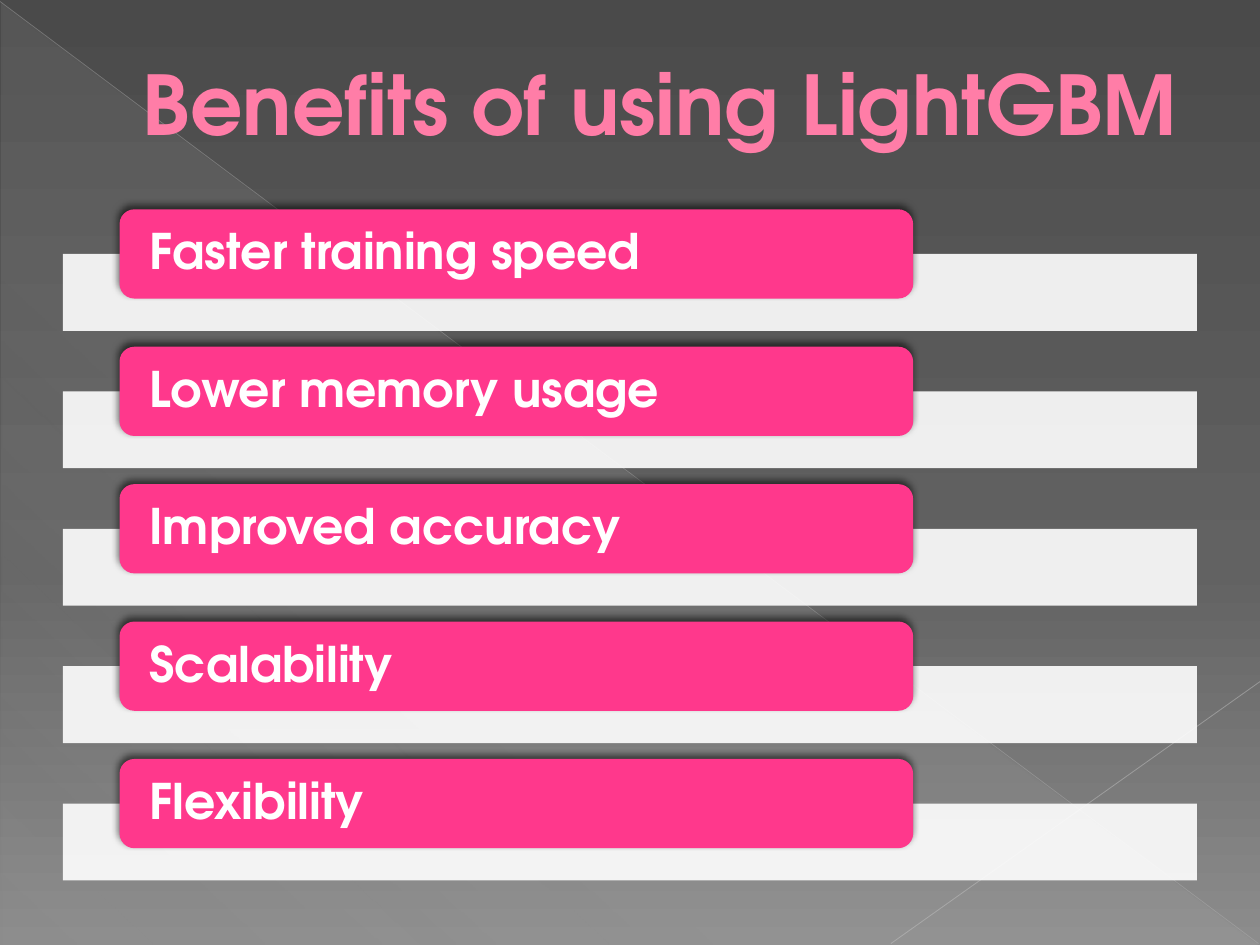
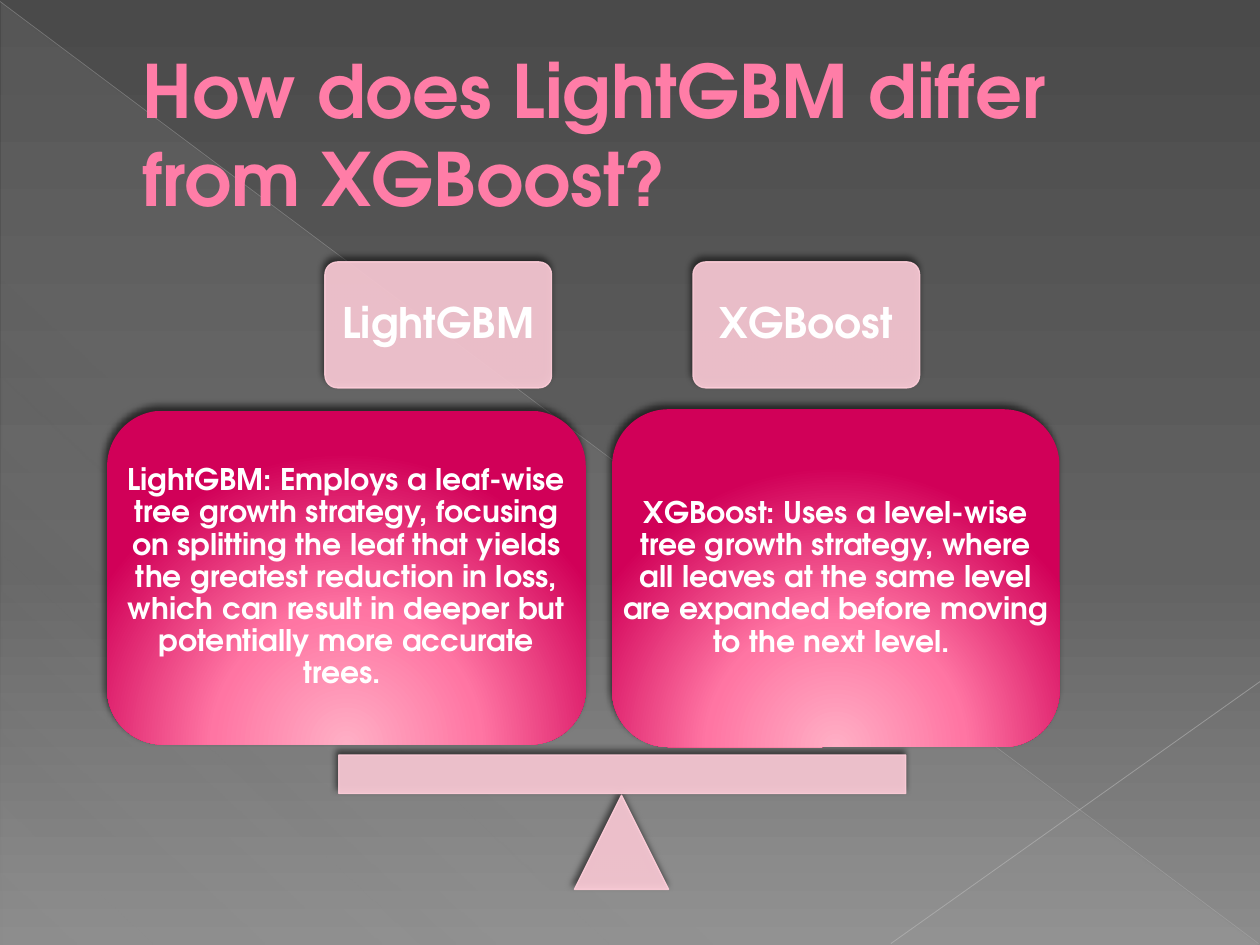
from lxml import etree
from pptx import Presentation
from pptx import util as u
from pptx.dml.color import RGBColor
from pptx.enum import shapes, text
from pptx.oxml import ns

FONT = "TeX Gyre Adventor"
WHITE = RGBColor(0xFF, 0xFF, 0xFF)
BLACK = RGBColor(0x00, 0x00, 0x00)
ROSE = RGBColor(0xFF, 0x7D, 0xA7)
WINE = RGBColor(0xB1, 0x27, 0x61)
PINK = RGBColor(0xFF, 0x38, 0x8C)
BLUSH = RGBColor(0xFF, 0xCE, 0xDA)
PETAL = RGBColor(0xFF, 0xAF, 0xC5)
CORAL = RGBColor(0xFF, 0x75, 0xA3)
RUBY = RGBColor(0xD1, 0x00, 0x58)
COAL = RGBColor(0x4A, 0x4A, 0x4A)
SLATE = RGBColor(0x62, 0x62, 0x62)
ASH = RGBColor(0x8C, 0x8C, 0x8C)
MIST = RGBColor(0xD2, 0xD2, 0xD2)
SILVER = RGBColor(0xBF, 0xBF, 0xBF)
PEARL = RGBColor(0xC6, 0xC6, 0xC6)

KIND = shapes.MSO_SHAPE
LEFT, MID = text.PP_ALIGN.LEFT, text.PP_ALIGN.CENTER

SKY = [(0, COAL, 100), (60, SLATE, 100), (100, ASH, 100)]
VEIL = [(0, MIST, 10), (70, MIST, 8), (100, MIST, 1)]
GLOW = [(0, PETAL, 100), (46, CORAL, 100), (100, RUBY, 100)]

GAINS = ["Faster training speed", "Lower memory usage", "Improved accuracy",
         "Scalability", "Flexibility"]
HEADS = [(6.55, "LightGBM"), (13.97, "XGBoost")]
CARDS = [
    ((12.34, 8.25, 9.02, 6.81),
     "XGBoost: Uses a level-wise tree growth strategy, where all leaves at "
     "the same level are expanded before moving to the next level. "),
    ((2.16, 8.28, 9.65, 6.73),
     "LightGBM: Employs a leaf-wise tree growth strategy, focusing on "
     "splitting the leaf that yields the greatest reduction in loss, which "
     "can result in deeper but potentially more accurate trees. "),
]


def put(item, form):
    """Set each attribute of the item from the dict."""
    for name, value in form.items():
        setattr(item, name, value)


def node(root, tag, **attrs):
    """Add a drawing element with the given attributes."""
    return etree.SubElement(root, ns.qn(f"a:{tag}"),
                            {key: str(val) for key, val in attrs.items()})


def tint(root, color, alpha):
    """Add a colour with an opacity in percent."""
    node(node(root, "srgbClr", val=color), "alpha", val=alpha * 1000)


def blend(root, stops, angle=None):
    """Swap the solid fill for a linear gradient, or a round one from below."""
    old = root.find(ns.qn("a:solidFill"))
    grad = etree.Element(ns.qn("a:gradFill"), rotWithShape="1")
    row = node(grad, "gsLst")
    for pos, color, alpha in stops:
        tint(node(row, "gs", pos=pos * 1000), color, alpha)
    if angle is None:
        node(node(grad, "path", path="circle"), "fillToRect",
             l=50000, t=155000, r=50000, b=-55000)
    else:
        node(grad, "lin", ang=angle * 60000, scaled=0)
    root.replace(old, grad)


def fade(item, alpha):
    """Give every colour of the item an opacity in percent."""
    for color in item.element.spPr.iter(ns.qn("a:srgbClr")):
        node(color, "alpha", val=alpha * 1000)


def shade(shape):
    """Add a soft shadow above the shape."""
    effects = shape.element.spPr.find(ns.qn("a:effectLst"))
    cast = node(effects, "outerShdw", blurRad=u.Pt(4), dist=u.Pt(3),
                dir=245 * 60000, rotWithShape=0)
    tint(cast, BLACK, 60)


def block(slide, kind, box, fill, edge=None):
    """Add a plain shape, with a thin edge if one is named."""
    shape = slide.shapes.add_shape(kind, *map(u.Cm, box))
    shape.shadow.inherit = False
    shape.fill.solid()
    shape.fill.fore_color.rgb = fill
    if edge is None:
        shape.line.fill.background()
    else:
        shape.line.color.rgb = edge
        shape.line.width = u.Pt(0.75)
    return shape


def blush(slide, kind, box):
    """Add a pale part of the scale."""
    shape = block(slide, kind, box, BLUSH, BLUSH)
    fade(shape, 90)
    shade(shape)
    return shape


def label(slide, box, words, size, color=WHITE, align=MID, pads=(0, 0), space=0.9):
    """Add bold text, centred from top to bottom, in a box."""
    frame = slide.shapes.add_textbox(*map(u.Cm, box)).text_frame
    side, end = map(u.Cm, pads)
    put(frame, dict(word_wrap=True, vertical_anchor=text.MSO_ANCHOR.MIDDLE,
                    margin_left=side, margin_right=side,
                    margin_top=end, margin_bottom=end))
    para = frame.paragraphs[0]
    put(para, dict(alignment=align, line_spacing=space))
    run = para.add_run()
    run.text = words
    put(run.font, dict(name=FONT, size=u.Pt(size), bold=True))
    run.font.color.rgb = color
    return para, run


def title(slide, words, size, height):
    """Add the indented title with its thin outline."""
    para, run = label(slide, (1.27, 0.74, 22.86, height), words, size, ROSE,
                      LEFT, (0.25, 0.13), 1.0)
    put_off = para._p.get_or_add_pPr()
    put_off.set("marL", str(u.Cm(1.35)))
    put_off.set("indent", "0")
    run.font.fill.solid()
    run.font.fill.fore_color.rgb = ROSE
    props = run._r.get_or_add_rPr()
    edge = node(props, "ln", w=u.Pt(0.5))
    tint(node(edge, "solidFill"), WINE, 100)
    props.insert(0, edge)


def ray(slide, ends, color, width, alpha):
    """Add a faint straight line."""
    line = slide.shapes.add_connector(shapes.MSO_CONNECTOR.STRAIGHT,
                                      *map(u.Cm, ends))
    line.line.color.rgb = color
    line.line.width = u.Pt(width)
    fade(line, alpha)
    node(line.element.spPr, "effectLst")


def stage(deck):
    """Add a slide with the shared backdrop."""
    slide = deck.slides.add_slide(deck.slide_layouts[6])
    slide.background.fill.solid()
    blend(slide.element.xpath(".//p:bgPr")[0], SKY, 90)
    veil = block(slide, KIND.RIGHT_TRIANGLE, (0.03, 0.05, 25.35, 19), MIST)
    blend(veil.element.spPr, VEIL, 133)
    ray(slide, (0, 0.03, 25.37, 19.02), SILVER, 0.39, 35)
    ray(slide, (25.4, 13.74, 17.96, 19.02), PEARL, 0.47, 45)
    return slide


def gains(deck):
    """Build the list of benefits."""
    slide = stage(deck)
    title(slide, "Benefits of using LightGBM", 47, 2.64)
    for row, words in enumerate(GAINS):
        top = 4.22 + row * 2.77
        fade(block(slide, KIND.RECTANGLE, (1.27, top + 0.9, 22.86, 1.55), WHITE), 90)
        box = (2.41, top, 16, 1.8)
        shade(block(slide, KIND.ROUNDED_RECTANGLE, box, PINK))
        label(slide, box, words, 28, align=LEFT, pads=(0.6, 0))


def scale(deck):
    """Build the scale that weighs the two libraries."""
    slide = stage(deck)
    title(slide, "How does LightGBM differ from XGBoost?", 42, 3.89)
    for left, words in HEADS:
        box = (left, 5.28, 4.57, 2.54)
        blush(slide, KIND.ROUNDED_RECTANGLE, box).adjustments[0] = 0.1
        label(slide, box, words, 24, pads=(0.25, 0.25))
    blush(slide, KIND.ISOSCELES_TRIANGLE, (11.58, 16.03, 1.9, 1.9))
    blush(slide, KIND.RECTANGLE, (6.83, 15.22, 11.43, 0.78))
    for box, words in CARDS:
        card = block(slide, KIND.ROUNDED_RECTANGLE, box, RUBY)
        blend(card.element.spPr, GLOW)
        shade(card)
        label(slide, box, words, 17, pads=(0.18, 0.18))


def main():
    """Build and save the deck."""
    deck = Presentation()
    put(deck, dict(slide_width=u.Cm(25.4), slide_height=u.Cm(19.05)))
    gains(deck)
    scale(deck)
    deck.save("out.pptx")


if __name__ == "__main__":
    main()
